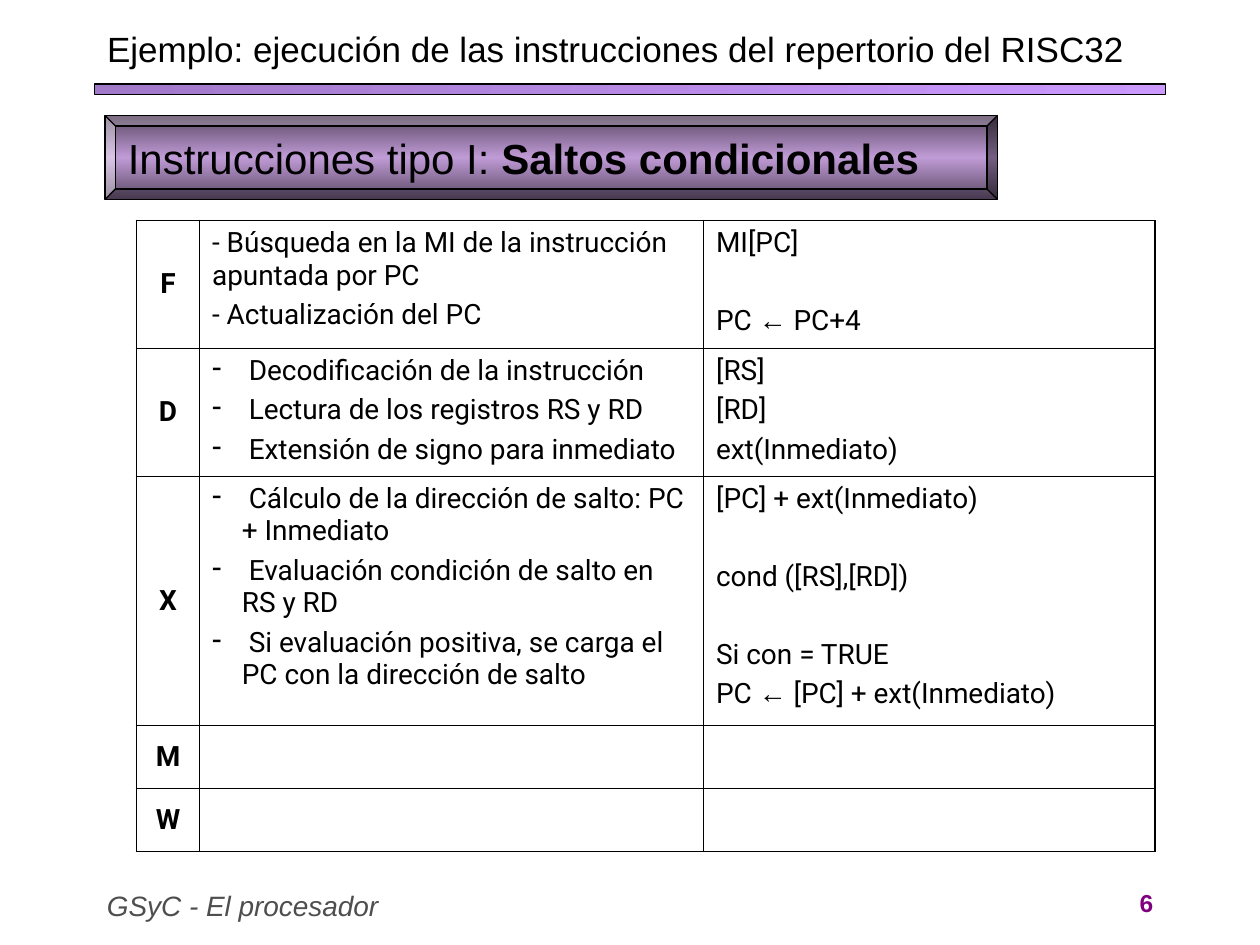
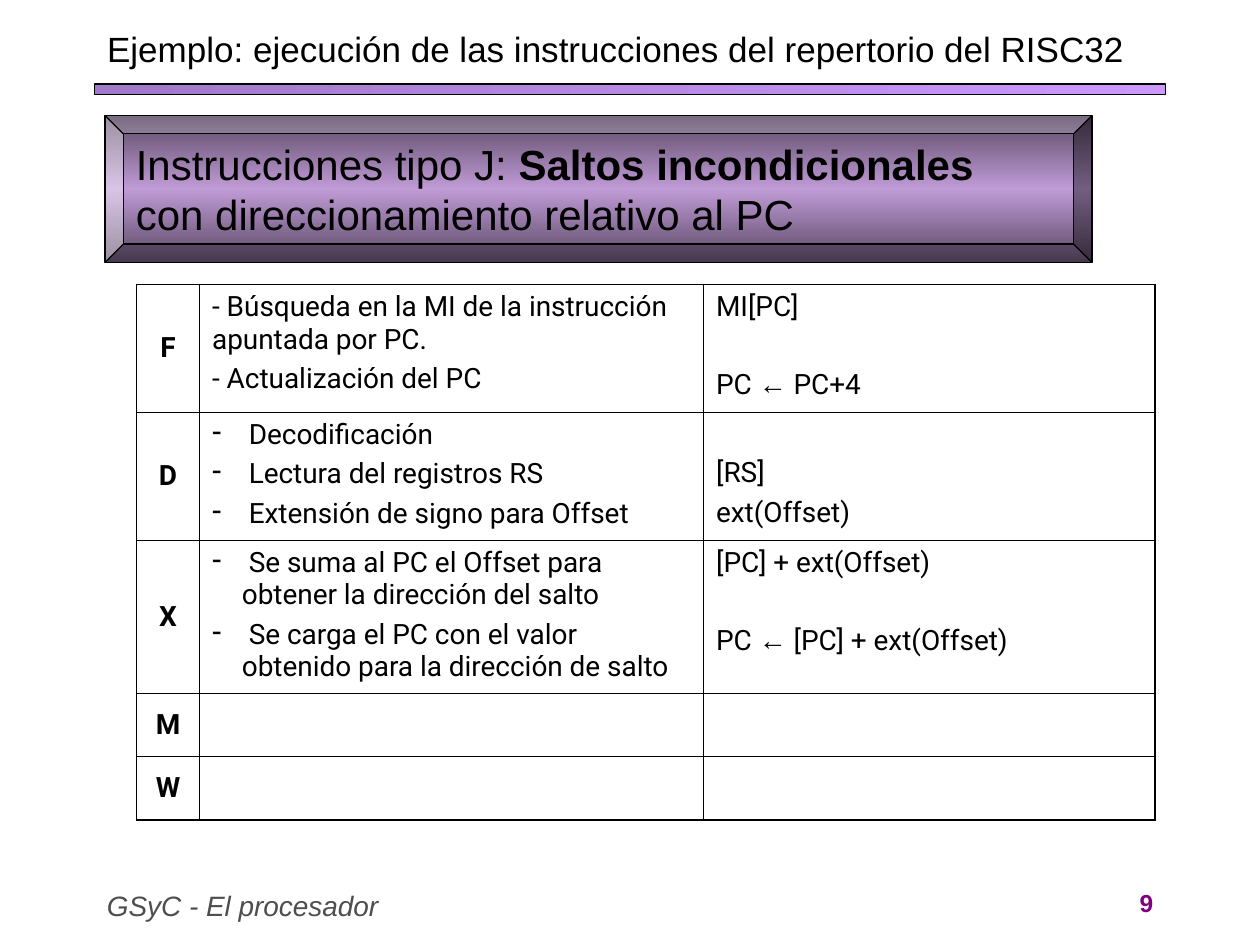
from copy import deepcopy
from dataclasses import dataclass

from lxml import etree
from pptx import Presentation
from pptx.dml.color import RGBColor
from pptx.enum import shapes, text
from pptx.oxml import ns
from pptx.util import Pt

BLACK = RGBColor(0x00, 0x00, 0x00)
GREY = RGBColor(0x4E, 0x4E, 0x4E)
PURPLE = RGBColor(0x80, 0x00, 0x80)
LILAC = RGBColor(0xCC, 0x99, 0xFF)
VIOLET = RGBColor(0xA1, 0x79, 0xC9)
PLUM = RGBColor(0x59, 0x48, 0x63)
ORCHID = RGBColor(0xC0, 0x9B, 0xD6)

HEAD_FONT, TABLE_FONT = "Arial", "Roboto"
TITLE = "Ejemplo: ejecución de las instrucciones del repertorio del RISC32"
FOOTER = "GSyC - El procesador"
ARROW = "←"
LINE_GAP = 4       # space between paragraphs of a cell
SKIPPED_GAP = 26   # space that leaves one line free
SKIPPED_TOP = 25.6  # top margin that leaves the first line free
HANG = 17
COLUMNS = (36, 288, 258)
OUTER, INNER = 1.08, 0.45
TABLE_LEFT = 78


@dataclass(frozen=True)
class Box:
    left: float
    top: float
    width: float
    height: float

    def lengths(self) -> tuple:
        return Pt(self.left), Pt(self.top), Pt(self.width), Pt(self.height)


@dataclass(frozen=True)
class Line:
    words: str
    gap: float = LINE_GAP


@dataclass(frozen=True)
class Stage:
    letter: str
    height: float
    actions: tuple[str, ...] = ()
    results: tuple[Line, ...] = ()
    bulleted: bool = True
    results_top: float = 3.6


@dataclass(frozen=True)
class Page:
    number: int
    banner: Box
    kind: str
    jump: str
    detail: str
    table_top: float
    stages: tuple[Stage, ...]


def fetch_stage(search: str) -> Stage:
    return Stage("F", 73, (search, "- Actualización del PC"),
                 (Line("MI[PC]"), Line("PC ← PC+4", SKIPPED_GAP)), bulleted=False)


IDLE_STAGES = (Stage("M", 36), Stage("W", 36))

PAGES = (
    Page(6, Box(60, 66, 510, 48), "Instrucciones tipo I: ", "Saltos condicionales", "", 126, (
        fetch_stage("- Búsqueda en la MI de la instrucción apuntada por PC"),
        Stage("D", 73,
              (" Decodificación de la instrucción",
               " Lectura de los registros RS y RD",
               " Extensión de signo para inmediato"),
              (Line("[RS]"), Line("[RD]"), Line("ext(Inmediato)"))),
        Stage("X", 142.5,
              (" Cálculo de la dirección de salto: PC + Inmediato",
               " Evaluación condición de salto en RS y RD",
               " Si evaluación positiva, se carga el PC con la dirección de salto"),
              (Line("[PC] + ext(Inmediato)"),
               Line("cond ([RS],[RD])", SKIPPED_GAP),
               Line("Si con = TRUE", SKIPPED_GAP),
               Line("PC ← [PC] + ext(Inmediato)"))),
        *IDLE_STAGES)),
    Page(9, Box(60, 66, 564, 84), "Instrucciones tipo J: ", "Saltos incondicionales",
         "con direccionamiento relativo al PC", 162.5, (
        fetch_stage("- Búsqueda en la MI de la instrucción apuntada por PC."),
        Stage("D", 73,
              (" Decodificación",
               " Lectura del registros RS",
               " Extensión de signo para Offset"),
              (Line("[RS]"), Line("ext(Offset)")), results_top=SKIPPED_TOP),
        Stage("X", 88,
              (" Se suma al PC el Offset para obtener la dirección del salto",
               " Se carga el PC con el valor obtenido para la dirección de salto"),
              (Line("[PC] + ext(Offset)"),
               Line("PC ← [PC] + ext(Offset)", SKIPPED_GAP))),
        *IDLE_STAGES)),
)


def set_font(paragraph, size: float, color: RGBColor = BLACK, name: str | None = HEAD_FONT,
             bold: bool = False, italic: bool = False) -> None:
    font = paragraph.font
    font.size, font.bold, font.italic = Pt(size), bold, italic
    font.color.rgb = color
    if name:
        font.name = name


def add_gradient_shape(slide, preset, box: Box, angle: float, colors: tuple):
    """Draw an outlined shape with evenly spaced gradient colours."""
    shape = slide.shapes.add_shape(preset, *box.lengths())
    shape.shadow.inherit = False
    shape.line.color.rgb = BLACK
    shape.line.width = Pt(0.75)
    shape.fill.gradient()
    shape.fill.gradient_angle = angle
    stop_list = shape._element.spPr.xpath(".//a:gsLst")[0]
    while len(stop_list) < len(colors):
        stop_list.append(deepcopy(stop_list[0]))
    for index, (stop, color) in enumerate(zip(shape.fill.gradient_stops, colors)):
        stop.position = index / (len(colors) - 1)
        stop.color.rgb = color
    return shape


def add_label(slide, box: Box, words: str, align, **style) -> None:
    frame = slide.shapes.add_textbox(*box.lengths()).text_frame
    frame.word_wrap = True
    paragraph = frame.paragraphs[0]
    paragraph.text = words
    paragraph.alignment = align
    set_font(paragraph, **style)


def add_frame(slide, number: int) -> None:
    """Title, band and footer shared by the slides."""
    title = slide.shapes.title
    title.left, title.top, title.width, title.height = Box(54, 12, 600, 32).lengths()
    frame = title.text_frame
    frame.text = TITLE
    frame.auto_size = text.MSO_AUTO_SIZE.NONE
    frame.vertical_anchor = text.MSO_ANCHOR.TOP
    frame.paragraphs[0].alignment = text.PP_ALIGN.LEFT
    set_font(frame.paragraphs[0], 20)

    add_gradient_shape(slide, shapes.MSO_SHAPE.RECTANGLE, Box(54, 48, 612, 6), 180,
                       (LILAC, VIOLET))
    add_label(slide, Box(54, 504, 552, 24), FOOTER, text.PP_ALIGN.LEFT,
              size=16, color=GREY, italic=True)
    add_label(slide, Box(618, 504, 48, 24), str(number), text.PP_ALIGN.RIGHT,
              size=14, color=PURPLE, bold=True)


def add_banner(slide, page: Page) -> None:
    banner = add_gradient_shape(slide, shapes.MSO_SHAPE.BEVEL, page.banner, 90,
                                (PLUM, ORCHID, PLUM))
    frame = banner.text_frame
    frame.word_wrap = True
    frame.vertical_anchor = text.MSO_ANCHOR.MIDDLE
    heading = frame.paragraphs[0]
    heading.add_run().text = page.kind
    jump = heading.add_run()
    jump.text = page.jump
    jump.font.bold = True
    if page.detail:
        frame.add_paragraph().text = page.detail
    for paragraph in frame.paragraphs:
        paragraph.alignment = text.PP_ALIGN.LEFT
        set_font(paragraph, 24)


def add_dash(paragraph) -> None:
    properties = paragraph._p.get_or_add_pPr()
    properties.set("marL", str(Pt(HANG)))
    properties.set("indent", str(-Pt(HANG)))
    color = etree.SubElement(properties, ns.qn("a:buClr"))
    etree.SubElement(color, ns.qn("a:srgbClr"), val=str(BLACK))
    etree.SubElement(properties, ns.qn("a:buChar"), char="-")


def fill_cell(cell, lines: tuple[Line, ...], bulleted: bool = False, bold: bool = False,
              align=text.PP_ALIGN.LEFT) -> None:
    frame = cell.text_frame
    for index, line in enumerate(lines):
        paragraph = frame.add_paragraph() if index else frame.paragraphs[0]
        paragraph.alignment = align
        if index:
            paragraph.space_before = Pt(line.gap)
        if bulleted:
            add_dash(paragraph)
        has_arrow = ARROW in line.words
        for piece in filter(None, line.words.partition(ARROW)):
            run = paragraph.add_run()
            run.text = piece
            if has_arrow:
                run.font.name = HEAD_FONT if piece == ARROW else TABLE_FONT
        set_font(paragraph, 16, name=None if has_arrow else TABLE_FONT, bold=bold)


def set_borders(cell, row: int, column: int, last_row: int, last_column: int) -> None:
    properties = cell._tc.get_or_add_tcPr()
    outer_sides = (("L", column == 0), ("R", column == last_column),
                   ("T", row == 0), ("B", row == last_row))
    for side, is_outer in outer_sides:
        border = etree.SubElement(properties, ns.qn(f"a:ln{side}"),
                                  w=str(Pt(OUTER if is_outer else INNER)))
        solid = etree.SubElement(border, ns.qn("a:solidFill"))
        etree.SubElement(solid, ns.qn("a:srgbClr"), val=str(BLACK))


def add_stage_table(slide, page: Page) -> None:
    stages = page.stages
    box = Box(TABLE_LEFT, page.table_top, sum(COLUMNS), sum(s.height for s in stages))
    table = slide.shapes.add_table(len(stages), len(COLUMNS), *box.lengths()).table
    table.first_row = table.horz_banding = False
    for column, width in zip(table.columns, COLUMNS):
        column.width = Pt(width)

    for row, stage in enumerate(stages):
        table.rows[row].height = Pt(stage.height)
        for column in range(len(COLUMNS)):
            cell = table.cell(row, column)
            set_borders(cell, row, column, len(stages) - 1, len(COLUMNS) - 1)
            cell.fill.background()
            cell.margin_left = cell.margin_right = Pt(7.2)
            cell.margin_top = cell.margin_bottom = Pt(3.6)
        letter, actions, results = (table.cell(row, c) for c in range(len(COLUMNS)))
        letter.vertical_anchor = text.MSO_ANCHOR.MIDDLE
        results.margin_top = Pt(stage.results_top)
        fill_cell(letter, (Line(stage.letter),), bold=True, align=text.PP_ALIGN.CENTER)
        fill_cell(actions, tuple(map(Line, stage.actions)), bulleted=stage.bulleted)
        fill_cell(results, stage.results)


def main() -> None:
    deck = Presentation()
    deck.slide_width, deck.slide_height = Pt(720), Pt(540)
    title_only = deck.slide_layouts[5]
    for page in PAGES:
        slide = deck.slides.add_slide(title_only)
        add_frame(slide, page.number)
        add_banner(slide, page)
        add_stage_table(slide, page)
    deck.save("out.pptx")


if __name__ == "__main__":
    main()
